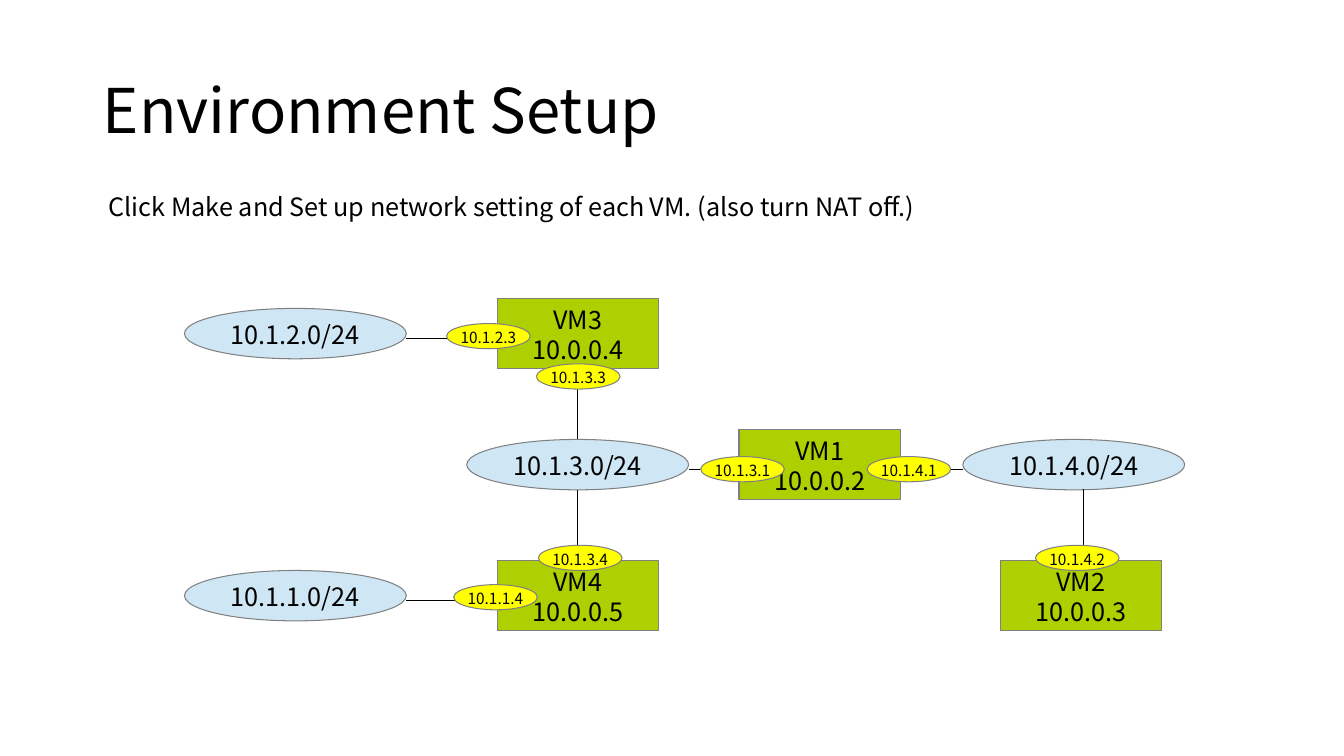
from dataclasses import dataclass

from lxml import etree
from pptx import Presentation
from pptx import util as u
from pptx.dml.color import RGBColor
from pptx.enum import shapes, text
from pptx.oxml.ns import qn

PX = 9144  # one px is a hundredth of an inch


@dataclass(frozen=True)
class Theme:
    font: str = "Noto Sans CJK KR"
    ink: str = "000000"
    network: str = "CFE7F5"
    machine: str = "AECF00"
    port: str = "FFFF00"
    outline: str = "808080"
    title: int = 44
    body: int = 18
    small: int = 11
    line: float = 0.75


THEME = Theme()
OVAL, RECT = shapes.MSO_SHAPE.OVAL, shapes.MSO_SHAPE.RECTANGLE
NETWORK_SIZE, MACHINE_SIZE, PORT_SIZE = (220, 50), (160, 70), (83, 25)

# Places are measured from the top left corner of the diagram.
NETWORKS = {
    "10.1.2.0/24": (0, 10),
    "10.1.1.0/24": (0, 270),
    "10.1.3.0/24": (280, 140),
    "10.1.4.0/24": (772, 140),
}
MACHINES = {
    "VM3\n10.0.0.4": (310, 0),
    "VM4\n10.0.0.5": (310, 260),
    "VM1\n10.0.0.2": (550, 130),
    "VM2\n10.0.0.3": (809, 260),
}
PORTS = {
    "10.1.2.3": (260, 25),
    "10.1.3.3": (349, 65),
    "10.1.3.4": (351, 245),
    "10.1.1.4": (267, 284),
    "10.1.3.1": (512, 157),
    "10.1.4.1": (677, 157),
    "10.1.4.2": (844, 245),
}
LINKS = [
    (220, 300, 310, 300),
    (220, 40, 310, 40),
    (390, 70, 390, 140),
    (390, 190, 390, 260),
    (500, 170, 550, 170),
    (772, 170, 710, 170),
    (892, 260, 892, 189),
]


def emu(*lengths):
    return [u.Emu(n * PX) for n in lengths]


def rgb(value):
    return RGBColor.from_string(value)


def write(tf, content, size=THEME.body, align=text.PP_ALIGN.LEFT,
          anchor=text.MSO_ANCHOR.MIDDLE, wrap=False, spacing=None,
          fit=text.MSO_AUTO_SIZE.NONE):
    tf.word_wrap, tf.auto_size, tf.vertical_anchor = wrap, fit, anchor
    for i, line in enumerate(content.split("\n")):
        p = tf.add_paragraph() if i else tf.paragraphs[0]
        p.alignment = align
        if spacing:
            p.line_spacing = spacing
        r = p.add_run()
        r.text = line
        r.font.name, r.font.size = THEME.font, u.Pt(size)
        r.font.color.rgb = rgb(THEME.ink)


def add_node(s, kind, box, label, fill, size=THEME.body):
    sp = s.shapes.add_shape(kind, *emu(*box))
    sp.shadow.inherit = False
    sp.fill.solid()
    sp.fill.fore_color.rgb = rgb(fill)
    sp.line.color.rgb = rgb(THEME.outline)
    sp.line.width = u.Pt(THEME.line)
    tf = sp.text_frame
    tf.margin_left, tf.margin_top, tf.margin_right, tf.margin_bottom = emu(10, 7, 10, 5)
    write(tf, label, size=size, align=text.PP_ALIGN.CENTER)
    return sp


def add_link(s, ends, machines):
    """Draw a line and join it to a machine whose top or bottom middle it meets."""
    line = s.shapes.add_connector(shapes.MSO_CONNECTOR.STRAIGHT, *emu(*ends))
    line.line.color.rgb = rgb(THEME.ink)
    line.line.width = u.Pt(THEME.line)
    etree.SubElement(line._element.spPr, qn("a:effectLst"))
    begin, end = (line.begin_x, line.begin_y), (line.end_x, line.end_y)
    for vm in machines:
        middle = vm.left + vm.width // 2
        for site, y in ((0, vm.top), (2, vm.top + vm.height)):
            if begin == (middle, y):
                line.begin_connect(vm, site)
            if end == (middle, y):
                line.end_connect(vm, site)


def add_heading(s, x, y, w, h):
    title = s.shapes.title
    title.left, title.top, title.width, title.height = emu(x, y, w, h)
    write(title.text_frame, "Environment Setup", size=THEME.title, wrap=True, spacing=0.9)


def add_instruction(s, x, y, w, h):
    sp = s.shapes.add_textbox(*emu(x, y, w, h))
    write(sp.text_frame,
          "Click Make and Set up network setting of each VM. (also turn NAT off.)",
          anchor=text.MSO_ANCHOR.TOP, fit=text.MSO_AUTO_SIZE.SHAPE_TO_FIT_TEXT)


def add_network_diagram(s, x, y):
    def place(nodes, kind, node_size, fill, size=THEME.body):
        return [add_node(s, kind, (x + dx, y + dy, *node_size), label, fill, size)
                for label, (dx, dy) in nodes.items()]

    place(NETWORKS, OVAL, NETWORK_SIZE, THEME.network)
    machines = place(MACHINES, RECT, MACHINE_SIZE, THEME.machine)
    for x1, y1, x2, y2 in LINKS:
        add_link(s, (x + x1, y + y1, x + x2, y + y2), machines)
    place(PORTS, OVAL, PORT_SIZE, THEME.port, THEME.small)


def main():
    prs = Presentation()
    prs.slide_width, prs.slide_height = emu(1333, 750)
    s = prs.slides.add_slide(prs.slide_layouts[5])
    add_heading(s, 92, 40, 1150, 145)
    add_instruction(s, 98, 185, 840, 40)
    add_network_diagram(s, 183, 296)
    prs.save("out.pptx")


if __name__ == "__main__":
    main()
